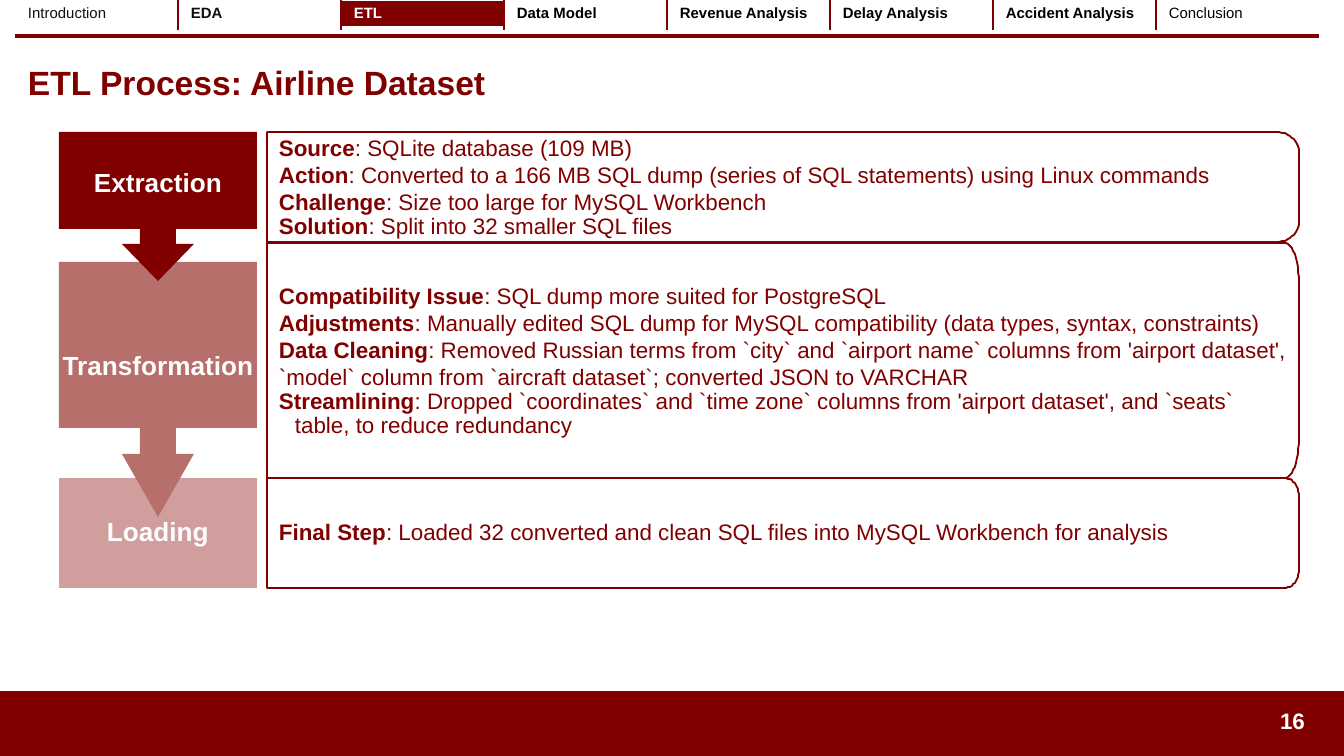
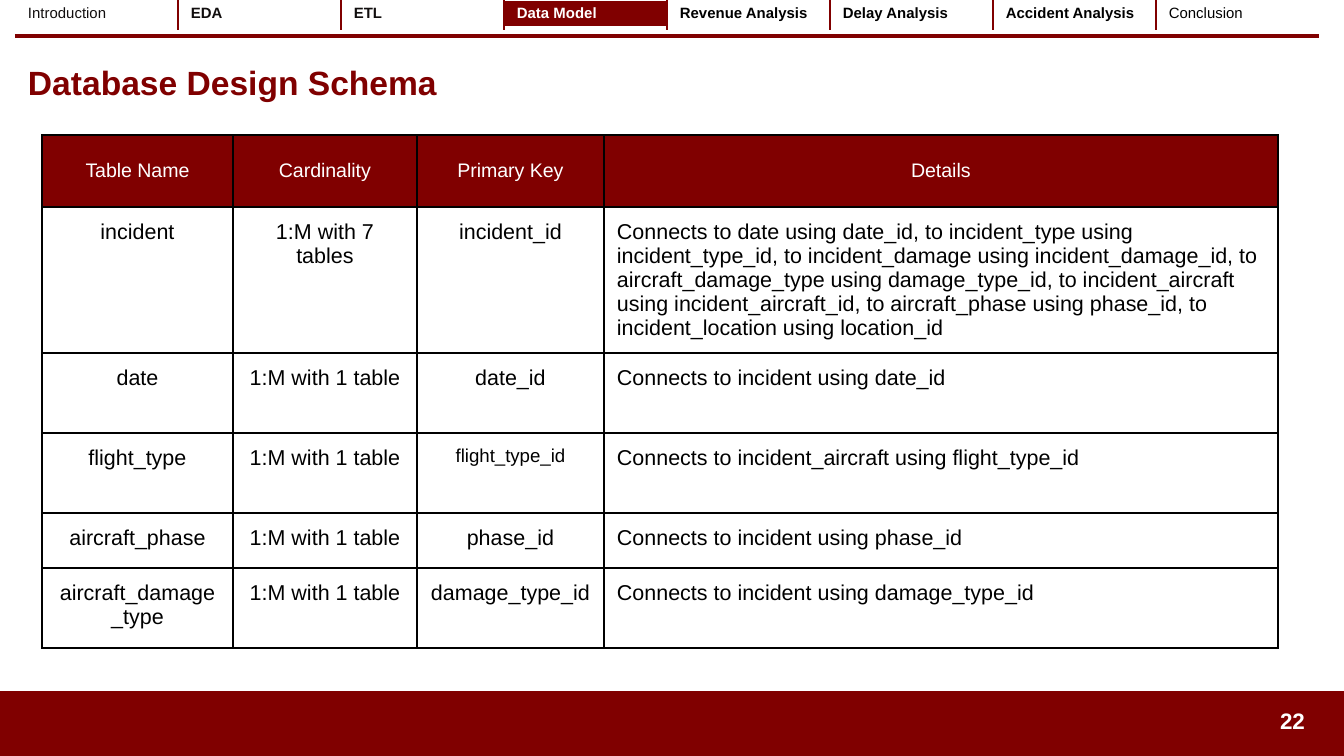
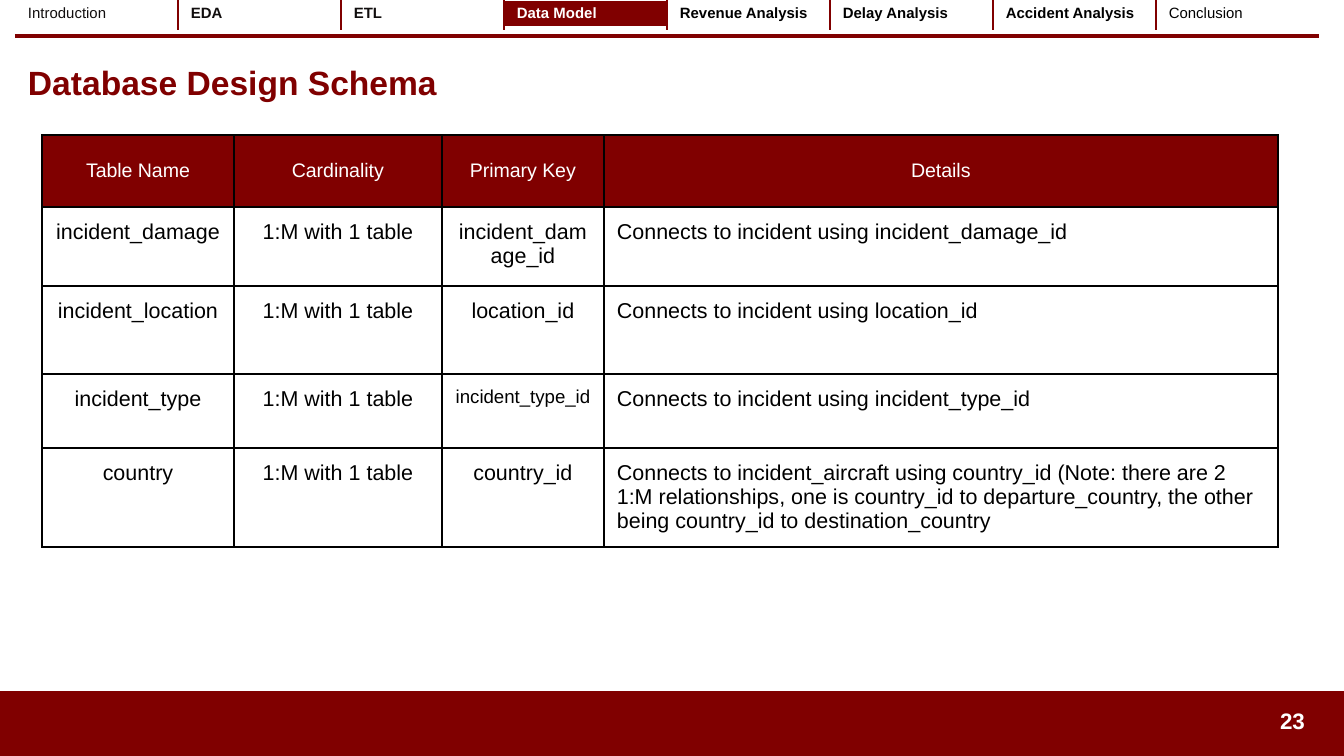
import math
import pptx
import pptx.chart.data
import pptx.dml.color
import pptx.enum.shapes
import pptx.enum.text
import pptx.oxml
import pptx.oxml.ns
import pptx.util

SCALE = 914400 / 134.4
WIDE, HIGH = 1344, 756
FONT = "Arial"
HUES = {"red": "800000", "rose": "B66F6B", "pink": "D09F9D",
        "white": "FFFFFF", "ink": "110E0E", "black": "000000"}
ALIGN = pptx.enum.text.PP_ALIGN
ANCHOR = pptx.enum.text.MSO_ANCHOR
SHAPES = pptx.enum.shapes.MSO_SHAPE

TABS = ["Introduction", "EDA", "ETL", "Data Model", "Revenue Analysis",
        "Delay Analysis", "Accident Analysis", "Conclusion"]

PANELS = [
    {"top": 132, "low": 242, "curve": (23, 19), "inset": (12, 8, 8, 8), "lines": [
        ("Source", ": SQLite database (109 MB)"),
        ("Action", ": Converted to a 166 MB SQL dump (series of SQL statements) using Linux commands"),
        ("Challenge", ": Size too large for MySQL Workbench"),
        ("Solution", ": Split into 32 smaller SQL files")]},
    {"top": 243, "low": 478, "curve": (15, 39), "inset": (12, 5, 5, 5), "lines": [
        ("Compatibility Issue", ": SQL dump more suited for PostgreSQL"),
        ("Adjustments", ": Manually edited SQL dump for MySQL compatibility (data types, syntax, constraints)"),
        ("Data Cleaning", ": Removed Russian terms from `city` and `airport name` columns from 'airport dataset', "
                          "`model` column from `aircraft dataset`; converted JSON to VARCHAR"),
        ("Streamlining", ": Dropped `coordinates` and `time zone` columns from 'airport dataset', "
                         "and `seats` table, to reduce redundancy")]},
    {"top": 478, "low": 588, "curve": (15, 18), "inset": (12, 5, 5, 5), "lines": [
        ("Final Step", ": Loaded 32 converted and clean SQL files into MySQL Workbench for analysis")]},
]

STEPS = [
    {"name": "Loading", "top": 478, "low": 588, "hue": "pink"},
    {"name": "Transformation", "top": 262, "low": 428, "neck": 454, "tip": 517, "hue": "rose"},
    {"name": "Extraction", "top": 132, "low": 229, "neck": 244, "tip": 281, "hue": "red"},
]

HEADS = ("Table Name", "Cardinality", "Primary Key", "Details")
ONE = "1:M with 1 table"
SMALL = {"flight_type_id", "incident_type_id"}
SCHEMAS = [
    {"page": 22, "cols": (191, 184, 187, 674), "rows": (72, 146, 80, 80, 55, 80), "data": [
        ("incident", "1:M with 7 tables", "incident_id",
         "Connects to date using date_id, to incident_type using incident_type_id, "
         "to incident_damage using incident_damage_id, to aircraft_damage_type using damage_type_id, "
         "to incident_aircraft using incident_aircraft_id, to aircraft_phase using phase_id, "
         "to incident_location using location_id"),
        ("date", ONE, "date_id", "Connects to incident using date_id"),
        ("flight_type", ONE, "flight_type_id", "Connects to incident_aircraft using flight_type_id"),
        ("aircraft_phase", ONE, "phase_id", "Connects to incident using phase_id"),
        ("aircraft_damage_type", ONE, "damage_type_id", "Connects to incident using damage_type_id")]},
    {"page": 23, "cols": (192, 208, 162, 674), "rows": (72, 79, 88, 74, 99), "data": [
        ("incident_damage", ONE, "incident_damage_id", "Connects to incident using incident_damage_id"),
        ("incident_location", ONE, "location_id", "Connects to incident using location_id"),
        ("incident_type", ONE, "incident_type_id", "Connects to incident using incident_type_id"),
        ("country", ONE, "country_id",
         "Connects to incident_aircraft using country_id (Note: there are 2 1:M relationships, "
         "one is country_id to departure_country, the other being country_id to destination_country")]},
]


def px(num):
    return pptx.util.Emu(round(num * SCALE))


def hue(name):
    return pptx.dml.color.RGBColor.from_string(HUES[name])


def write(host, lines, size=12, color="black", bold=False, align=ALIGN.LEFT,
          anchor=ANCHOR.MIDDLE, inset=(13, 7, 13, 7), space=None):
    frame = host.text_frame
    area = host if hasattr(host, "margin_left") else frame
    area.margin_left, area.margin_top, area.margin_right, area.margin_bottom = map(px, inset)
    area.vertical_anchor = anchor
    if area is frame:
        frame.word_wrap = True
        frame.auto_size = pptx.enum.text.MSO_AUTO_SIZE.NONE
    for i, line in enumerate(lines):
        para = frame.add_paragraph() if i else frame.paragraphs[0]
        para.alignment = align
        para.line_spacing = space
        parts = [(line, bold)] if isinstance(line, str) else zip(line, (True, False))
        for part, heavy in parts:
            run = para.add_run()
            run.text = part
            font = run.font
            font.name, font.size, font.bold = FONT, pptx.util.Pt(size), heavy
            font.color.rgb = hue(color)


def paint(shape, fill, line=None):
    shape.shadow.inherit = False
    shape.fill.solid()
    shape.fill.fore_color.rgb = hue(fill)
    if line:
        shape.line.color.rgb = hue(line)
        shape.line.width = pptx.util.Pt(1)
    else:
        shape.line.fill.background()


def trace(slide, dots):
    pen = slide.shapes.build_freeform(*dots[0], scale=SCALE)
    pen.add_line_segments(dots[1:], close=True)
    return pen.convert_to_shape()


def edge(cell, **sides):
    props = cell._tc.get_or_add_tcPr()
    for side in "LRTB":
        name, width = sides[side]
        props.append(pptx.oxml.parse_xml(
            f'<a:ln{side} {pptx.oxml.ns.nsdecls("a")} w="{width * 12700}">'
            f'<a:solidFill><a:srgbClr val="{HUES[name]}"/></a:solidFill></a:ln{side}>'))


def grid(slide, left, top, cols, rows):
    table = slide.shapes.add_table(len(rows), len(cols), px(left), px(top),
                                   px(sum(cols)), px(sum(rows))).table
    table.first_row = table.horz_banding = False
    for col, width in zip(table.columns, cols):
        col.width = px(width)
    for row, height in zip(table.rows, rows):
        row.height = px(height)
    return table


def tabs(slide, active):
    table = grid(slide, 15, 0, [163] * len(TABS), [28])
    last = len(TABS) - 1
    now = TABS.index(active)
    for i, name in enumerate(TABS):
        cell = table.cell(0, i)
        edge(cell, L=("red" if i else "white", 1), R=("red" if i < last else "white", 1),
             T=("white", 1), B=("white", 3))
        cell.fill.solid()
        cell.fill.fore_color.rgb = hue("red" if i == now else "white")
        color = "white" if i == now else "ink" if i < now else "black"
        write(cell, [name], size=8, color=color, bold=0 < i < last,
              anchor=ANCHOR.TOP, inset=(13, 5, 13, 5))


def start(deck, title, page, active):
    slide = deck.slides.add_slide(deck.slide_layouts[5])
    band = slide.shapes.add_shape(SHAPES.RECTANGLE, 0, px(692), px(WIDE), px(HIGH - 692))
    paint(band, "red", "red")
    rule = slide.shapes.add_connector(pptx.enum.shapes.MSO_CONNECTOR.STRAIGHT,
                                      px(15), px(36), px(1319), px(36))
    rule.line.color.rgb = hue("red")
    rule.line.width = pptx.util.Pt(2)
    rule._element.spPr.append(pptx.oxml.parse_xml(f'<a:effectLst {pptx.oxml.ns.nsdecls("a")}/>'))
    head = slide.shapes.title
    head.left, head.top, head.width, head.height = map(px, (15, 42, 1304, 81))
    write(head, [title], size=18, color="red", bold=True)
    num = slide.shapes.add_textbox(px(1243), px(701), px(75), px(40))
    write(num, [str(page)], color="white", bold=True, align=ALIGN.RIGHT)
    tabs(slide, active)
    return slide


def panel(slide, top, low, curve, inset, lines, left=267, right=1299):
    wide, tall = curve
    turns = [math.radians(7.5 * i) for i in range(13)]
    upper = [(right - wide + wide * math.sin(t), top + tall - tall * math.cos(t)) for t in turns]
    lower = [(x, top + low - y) for x, y in reversed(upper)]
    box = trace(slide, [(left, top)] + upper + lower + [(left, low)])
    paint(box, "white", "red")
    tint = box._element.spPr.find(".//" + pptx.oxml.ns.qn("a:srgbClr"))
    tint.append(pptx.oxml.parse_xml(f'<a:alpha {pptx.oxml.ns.nsdecls("a")} val="89000"/>'))
    write(box, lines, color="red", inset=inset)
    final = box.text_frame.paragraphs[-1]
    final.line_spacing = 0.9
    props = final._p.get_or_add_pPr()
    props.set("marL", str(px(16)))
    props.set("indent", str(-px(16)))


def step(slide, name, top, low, hue, neck=None, tip=None, left=59, right=257):
    mid = (left + right) / 2
    dots = [(left, top), (right, top), (right, low)]
    if tip:
        dots += [(mid + 18, low), (mid + 18, neck), (mid + 36, neck), (mid, tip),
                 (mid - 36, neck), (mid - 18, neck), (mid - 18, low)]
    box = trace(slide, dots + [(left, low)])
    paint(box, hue)
    write(box, [name], size=14, color="white", bold=True, align=ALIGN.CENTER,
          inset=(1, 1, 1, 46 if tip else 1), space=0.9)


def schema(slide, cols, rows, data):
    table = grid(slide, 42, 135, cols, rows)
    for r, row in enumerate([HEADS] + data):
        for c, word in enumerate(row):
            cell = table.cell(r, c)
            edge(cell, **dict.fromkeys("LRTB", ("black", 1)))
            look = {"inset": (13, 13, 13, 13), "align": ALIGN.CENTER}
            if r == 0:
                cell.fill.solid()
                cell.fill.fore_color.rgb = hue("red")
                look.update(size=10.5, color="white")
            else:
                cell.fill.background()
                look.update(size=10 if word in SMALL else 11.5, anchor=ANCHOR.TOP)
                if c == len(row) - 1:
                    look["align"] = ALIGN.LEFT
            write(cell, [word], **look)


def main():
    deck = pptx.Presentation()
    deck.slide_width, deck.slide_height = px(WIDE), px(HIGH)
    slide = start(deck, "ETL Process: Airline Dataset", 16, "ETL")
    for item in PANELS:
        panel(slide, **item)
    for item in STEPS:
        step(slide, **item)
    for item in SCHEMAS:
        slide = start(deck, "Database Design Schema", item["page"], "Data Model")
        schema(slide, item["cols"], item["rows"], item["data"])
    deck.save("out.pptx")


if __name__ == "__main__":
    main()
